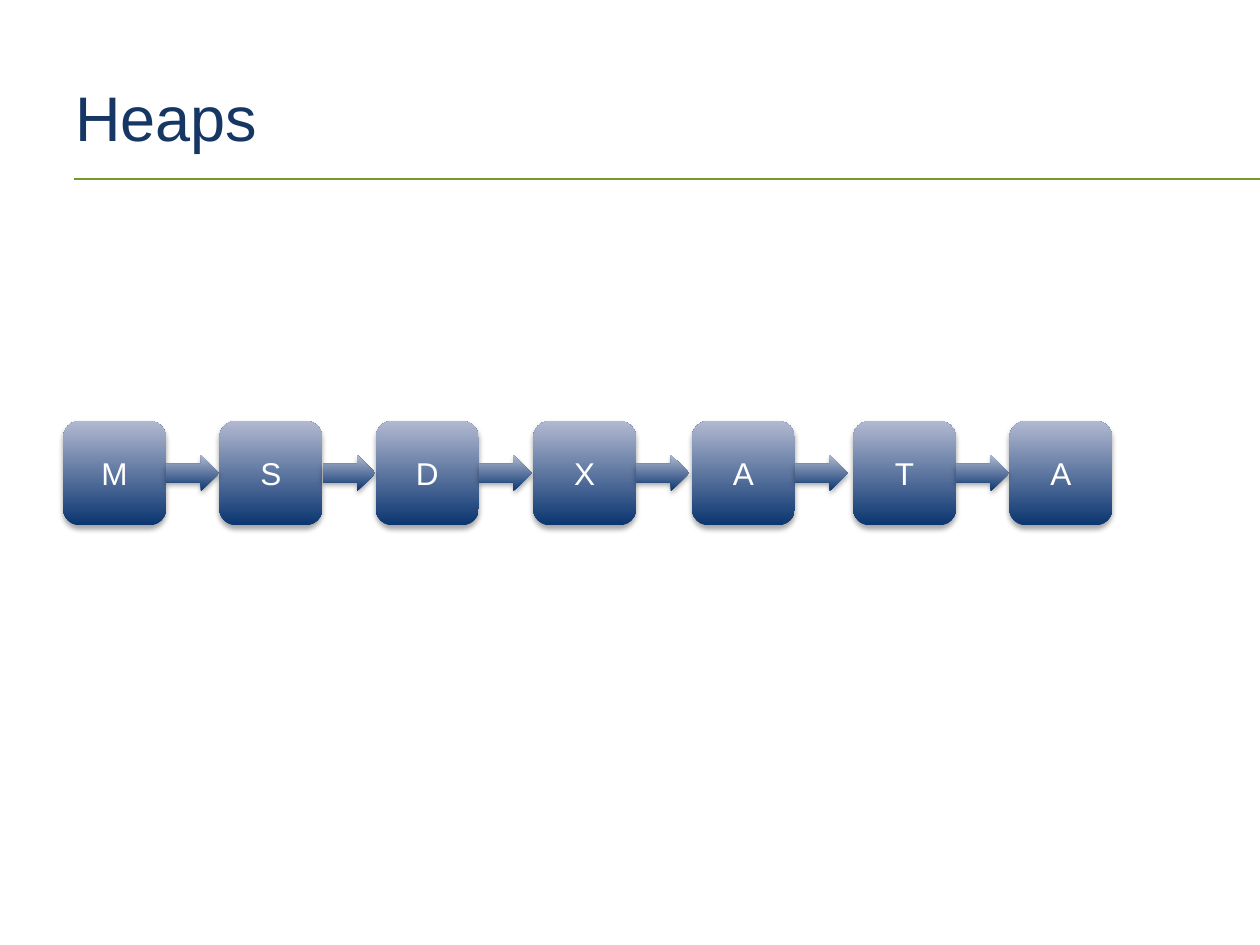
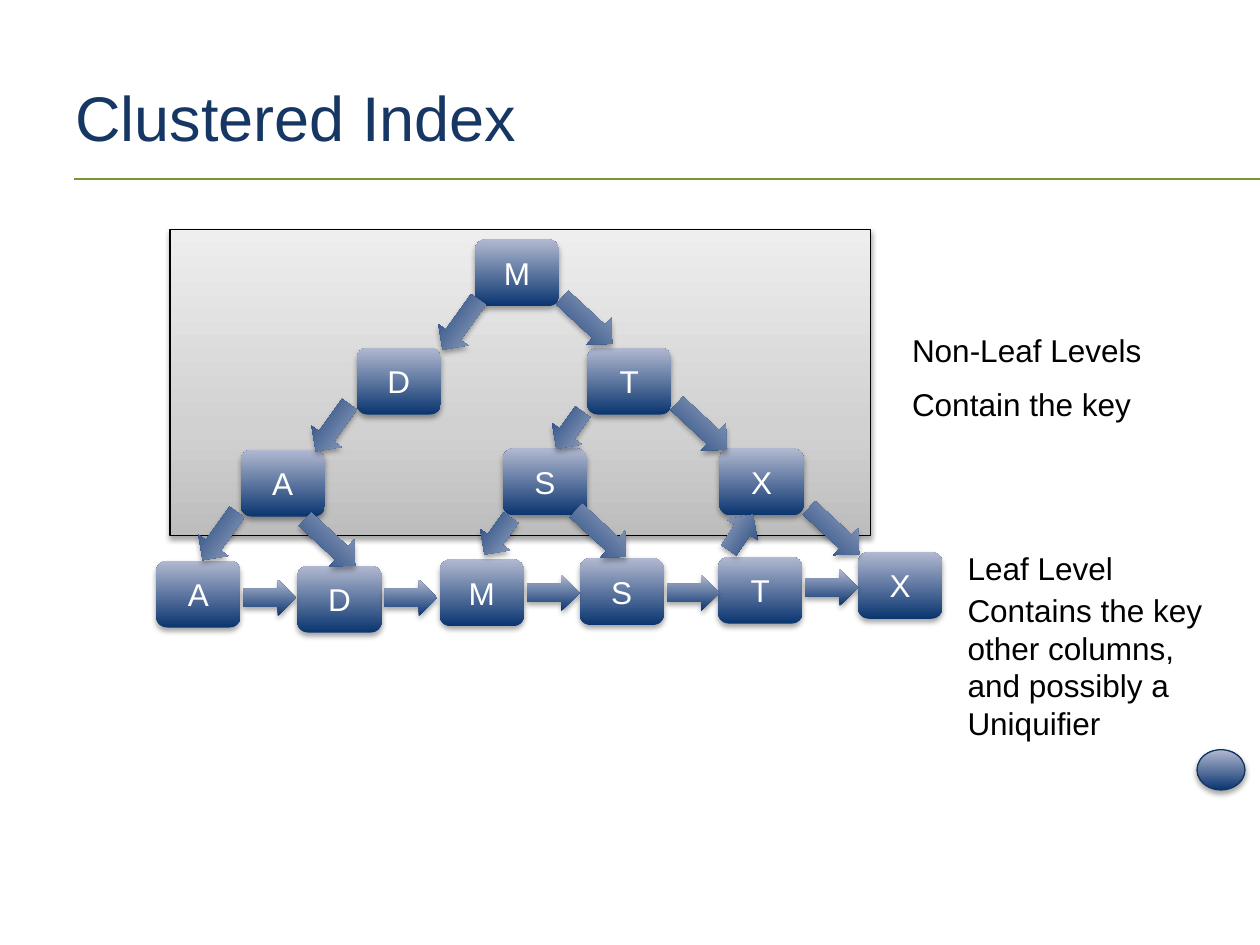
from itertools import pairwise

from lxml import etree
from pptx import Presentation
from pptx.dml.color import RGBColor
from pptx.enum.shapes import MSO_CONNECTOR, MSO_SHAPE
from pptx.enum.text import MSO_ANCHOR, MSO_AUTO_SIZE, PP_ALIGN
from pptx.oxml.ns import qn
from pptx.util import Pt

ROUNDED, ARROW = MSO_SHAPE.ROUNDED_RECTANGLE, MSO_SHAPE.RIGHT_ARROW
RECTANGLE, OVAL = MSO_SHAPE.RECTANGLE, MSO_SHAPE.OVAL
MIDDLE, CENTER = MSO_ANCHOR.MIDDLE, PP_ALIGN.CENTER

FONT = "Arial"
NAVY, GREEN, BLACK, WHITE = "163764", "75982F", "000000", "FFFFFF"
OVAL_EDGE = "143564"
# Gradient stops run from bottom to top: (percent, colour)
BLUE_STOPS = [(0, "0A3570"), (100, "B2B9D1")]
GREY_STOPS = [(0, "BDBDBD"), (35, "D1D1D1"), (100, "EEEEEE")]

ARROW_WIDTH, ARROW_HEIGHT = 30.2, 20.9

# Heap: (key, left)
HEAP_TOP, HEAP_SIZE = 240.5, (59, 59.8)
HEAP_ARROW_TOP = 259.9
HEAP_PAGES = [("M", 36), ("S", 125.3), ("D", 214.6), ("X", 304.6),
              ("A", 395.3), ("T", 487.4), ("A", 576.7)]

# Index: (key, left, top)
NODE_SIZE = (48.2, 38.2)
INDEX_NODES = [("M", 271.4, 136.8),
               ("D", 203.8, 198.7), ("T", 335.5, 198.7),
               ("A", 137.5, 257), ("S", 287.3, 256.3), ("X", 411.1, 256.3)]
LEAF_NODES = [("A", 89.3, 320.4), ("D", 169.9, 323.3), ("M", 251.3, 319.7),
              ("S", 331.2, 319), ("T", 410.4, 318.2), ("X", 490.3, 315.4)]
LEAF_ARROW_TOPS = [331.2, 331.2, 328.3, 328.3, 325.4]
LEAF_ARROW_GAP = 1.5
# Branch arrows by rotation: (left, top, width)
BRANCH_ARROWS = {
    125.5: [(312.5, 235.4, 25.9), (173.5, 234, 33.1), (108.7, 295.9, 33.8),
            (245.5, 175, 35.3), (271.4, 295.9, 25.9)],
    42.8: [(316.1, 172.8, 38.9), (381.6, 233.3, 38.9), (457.2, 293, 38.9),
           (169.2, 299.5, 38.9), (324, 294.5, 38.9)],
    304: [(411.1, 293.8, 24.5)],
}
NON_LEAF_PANEL = (97.2, 131, 400.3, 175)
MARKER = (684, 428.4, 27.4, 23)
# (paragraphs, frame, wraps)
LABELS = [
    (["Non-Leaf Levels"], (514.1, 185.8, 146.9, 28.8), False),
    (["Leaf Level"], (545.8, 310.3, 98.6, 28.8), False),
    (["Contain the key"], (514.1, 216.7, 141.1, 28.8), False),
    (["Contains the key", "other columns, and possibly a Uniquifier"],
     (545.8, 334.1, 165.6, 116.6), True),
]


def rgb(value):
    return RGBColor.from_string(value)


def points(*lengths):
    return [Pt(length) for length in lengths]


def add_element(parent, tag, **attributes):
    element = etree.SubElement(parent, qn(tag))
    for name, value in attributes.items():
        element.set(name, str(value))
    return element


def add_colour(parent, value):
    return add_element(parent, "a:srgbClr", val=value)


def write(frame, lines, size, color, align=None):
    for index, line in enumerate(lines):
        para = frame.paragraphs[0] if index == 0 else frame.add_paragraph()
        para.text = line
        para.alignment = align
        para.font.name, para.font.size = FONT, Pt(size)
        para.font.color.rgb = rgb(color)


def add_glossy(page, kind, frame, stops=BLUE_STOPS, edge=None, text=None):
    """Add a shape with a vertical gradient and a soft shadow below it."""
    shape = page.shapes.add_shape(kind, *points(*frame))
    shape.fill.gradient()
    shape.fill.gradient_angle = 90
    properties = shape._element.spPr
    stop_list = properties.find(".//" + qn("a:gsLst"))
    for stop in list(stop_list):
        stop_list.remove(stop)
    for percent, color in stops:
        add_colour(add_element(stop_list, "a:gs", pos=percent * 1000), color)
    if edge:
        shape.line.color.rgb, shape.line.width = rgb(edge), Pt(0.75)
    else:
        shape.line.fill.background()
    shape.shadow.inherit = False
    shadow = add_element(properties.find(qn("a:effectLst")), "a:outerShdw",
                         blurRad=Pt(3.1), dist=Pt(1.8), dir=90 * 60000,
                         rotWithShape=0)
    add_element(add_colour(shadow, BLACK), "a:alpha", val=35000)
    if text:
        shape.text_frame.vertical_anchor = MIDDLE
        write(shape.text_frame, [text], 18, WHITE, CENTER)
    return shape


def add_page(deck, title):
    page = deck.slides.add_slide(deck.slide_layouts[6])
    rule = page.shapes.add_connector(MSO_CONNECTOR.STRAIGHT,
                                     *points(42.5, 102.2, 720, 102.2))
    rule.line.color.rgb, rule.line.width = rgb(GREEN), Pt(1)
    add_element(rule._element.spPr, "a:effectLst")
    box = page.shapes.add_textbox(*points(36, 21.6, 648, 90))
    box.text_frame.word_wrap = True
    box.text_frame.vertical_anchor = MIDDLE
    write(box.text_frame, [title], 36, NAVY)
    return page


def add_heap(deck):
    page = add_page(deck, "Heaps")
    for key, left in HEAP_PAGES:
        add_glossy(page, ROUNDED, (left, HEAP_TOP, *HEAP_SIZE), text=key)
    for _, left in HEAP_PAGES[:-1]:
        add_glossy(page, ARROW, (left + HEAP_SIZE[0], HEAP_ARROW_TOP,
                                 ARROW_WIDTH, ARROW_HEIGHT))


def add_index(deck):
    page = add_page(deck, "Clustered Index")
    add_glossy(page, RECTANGLE, NON_LEAF_PANEL, GREY_STOPS, BLACK)
    for key, left, top in INDEX_NODES + LEAF_NODES:
        add_glossy(page, ROUNDED, (left, top, *NODE_SIZE), text=key)
    for (_, left, _), top in zip(LEAF_NODES, LEAF_ARROW_TOPS):
        add_glossy(page, ARROW, (left + NODE_SIZE[0] + LEAF_ARROW_GAP, top,
                                 ARROW_WIDTH, ARROW_HEIGHT))
    for angle, arrows in BRANCH_ARROWS.items():
        for frame in arrows:
            add_glossy(page, ARROW, (*frame, ARROW_HEIGHT)).rotation = angle
    for lines, frame, wraps in LABELS:
        box = page.shapes.add_textbox(*points(*frame))
        box.text_frame.word_wrap = wraps
        box.text_frame.auto_size = MSO_AUTO_SIZE.SHAPE_TO_FIT_TEXT
        write(box.text_frame, lines, 18, BLACK)
    add_glossy(page, OVAL, MARKER, edge=OVAL_EDGE)


def main():
    deck = Presentation()
    deck.slide_width, deck.slide_height = points(720, 540)
    add_heap(deck)
    add_index(deck)
    deck.save("out.pptx")


if __name__ == "__main__":
    main()
